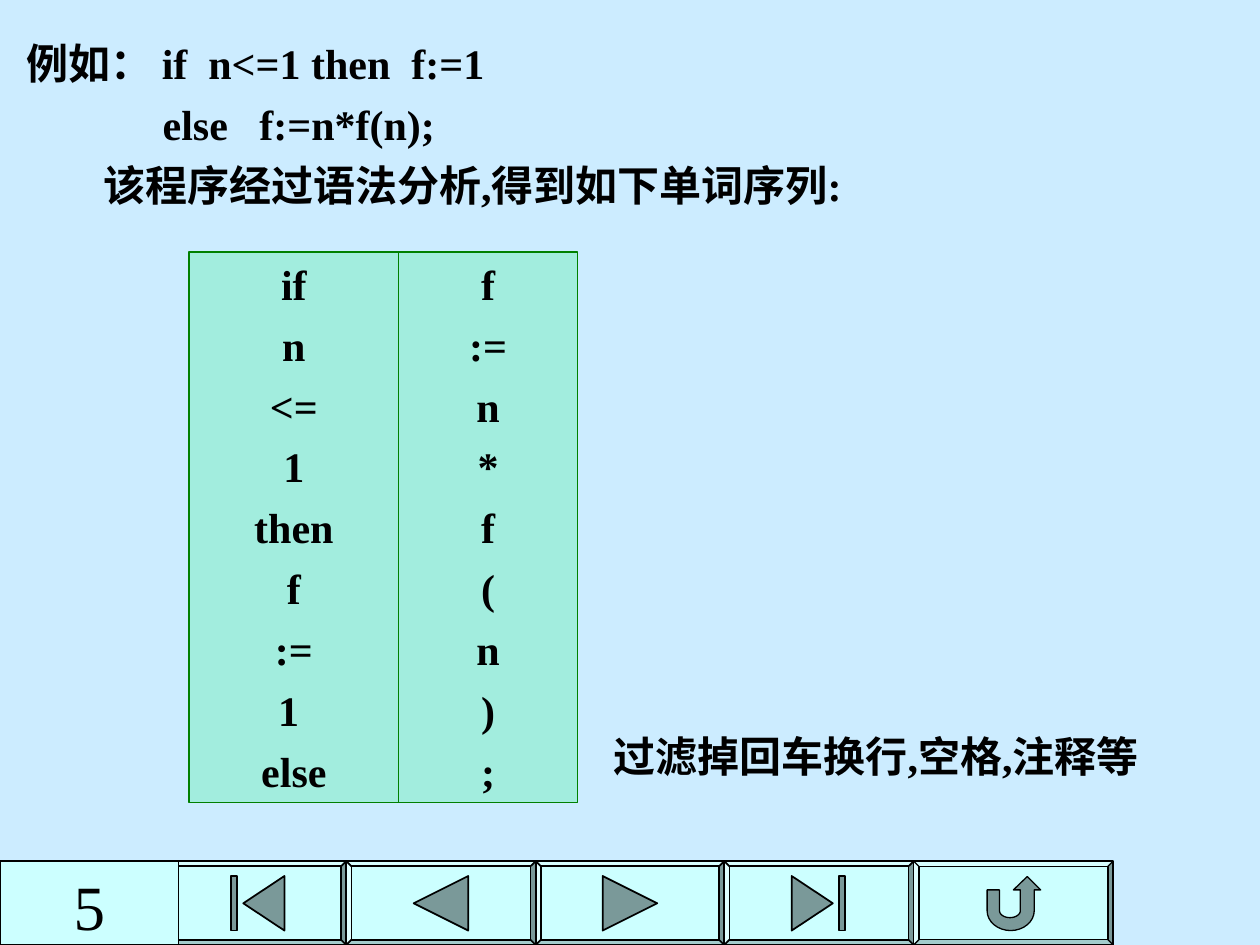
from math import cos, pi, sin

from lxml import etree
from pptx import Presentation
from pptx.dml.color import RGBColor
from pptx.enum.shapes import MSO_SHAPE
from pptx.enum.text import MSO_ANCHOR, PP_ALIGN
from pptx.oxml.ns import qn
from pptx.util import Cm, Pt

RECT, BEVEL = MSO_SHAPE.RECTANGLE, MSO_SHAPE.BEVEL
LEFT, CENTER, TOP = PP_ALIGN.LEFT, PP_ALIGN.CENTER, MSO_ANCHOR.TOP
BOLD_24 = {"name": "Times New Roman", "size": Pt(24), "bold": True}
PAGE_36 = {"name": "Times New Roman", "size": Pt(36), "bold": False}


def paint(sp, fill, line, width):
    sp.shadow.inherit = False
    sp.fill.solid()
    sp.fill.fore_color.rgb = RGBColor.from_string(fill)
    sp.line.color.rgb = RGBColor.from_string(line)
    sp.line.width = Pt(width)


def write(sp, lines, fmt, align, indents=None):
    tf = sp.text_frame
    tf.word_wrap = True
    tf.vertical_anchor = TOP
    for i, text in enumerate(lines):
        p = tf.paragraphs[0] if i == 0 else tf.add_paragraph()
        p.alignment = align
        p.space_before = Pt(6 if i else 0)
        if indents:
            pPr = p._p.get_or_add_pPr()
            pPr.set("marL", str(Cm(indents[i])))
            pPr.set("indent", "0")
        r = p.add_run()
        r.text = text
        for key, value in fmt.items():
            setattr(r.font, key, value)
        r.font.color.rgb = RGBColor.from_string("000000")


prs = Presentation()
prs.slide_width, prs.slide_height = Cm(25.4), Cm(19.05)
s = prs.slides.add_slide(prs.slide_layouts[6])
s.background.fill.solid()
s.background.fill.fore_color.rgb = RGBColor.from_string("CCECFF")

bar_top, bar_height, icon_y = 17.36, 1.69, 18.21
back = [(-0.55, 0), (0.55, -0.55), (0.55, 0.55)]
first = [(-0.28, 0), (0.55, -0.55), (0.55, 0.55)]
first_bar = [(-0.53, -0.55), (-0.4, -0.55), (-0.4, 0.55), (-0.53, 0.55)]
arcs = [pi * i / 16 for i in range(17)]
inner = [(-0.07 - 0.21 * cos(a), 0.15 + 0.14 * sin(a)) for a in arcs]
outer = [(-0.055 + 0.475 * cos(a), 0.15 + 0.4 * sin(a)) for a in arcs]
head = [(0.14, -0.27), (0, -0.27), (0.28, -0.54), (0.55, -0.27), (0.42, -0.27)]
u_turn = [(-0.53, -0.27), (-0.28, -0.27)] + inner + head + outer

buttons = [
    (3.39, 6.98, [first, first_bar], 1, 1),
    (6.98, 10.8, [back], 1, 1),
    (10.8, 14.6, [back], -1, 1),
    (14.6, 18.42, [first, first_bar], -1, 1),
    (18.42, 22.44, [u_turn], 1, 0.75),
]
for left, right, icons, side, width in buttons:
    sp = s.shapes.add_shape(BEVEL, Cm(left), Cm(bar_top), Cm(right - left), Cm(bar_height))
    sp.adjustments[0] = 0.0625
    paint(sp, "CCFFFF", "000000", width)
    mid = (left + right) / 2
    for icon in icons:
        points = [(Cm(mid + side * x), Cm(icon_y + y)) for x, y in icon]
        fb = s.shapes.build_freeform(*points[0])
        fb.add_line_segments(points[1:], close=True)
        paint(fb.convert_to_shape(), "7A9999", "000000", width)

code = ["例如： if  n<=1 then  f:=1", "else   f:=n*f(n);", "该程序经过语法分析,得到如下单词序列:"]
sp = s.shapes.add_textbox(Cm(0.28), Cm(0.64), Cm(20.09), Cm(3.73))
write(sp, code, BOLD_24, LEFT, [0, 2.75, 1.55])

columns = [
    (3.81, 4.23, ["if", "n", "<=", "1", "then", "f", ":=", "1 ", "else"]),
    (8.04, 3.6, ["f", ":=", "n", "*", "f", "(", "n", ")", ";"]),
]
tokens = s.shapes.add_group_shape()
for left, width, words in columns:
    sp = tokens.shapes.add_shape(RECT, Cm(left), Cm(5.08), Cm(width), Cm(11.1))
    paint(sp, "79EFBF", "008000", 0.75)
    color = sp._element.spPr.find(qn("a:solidFill"))[0]
    etree.SubElement(color, qn("a:alpha")).set("val", "50000")
    write(sp, words, BOLD_24, CENTER)

sp = s.shapes.add_textbox(Cm(11.7), Cm(14.6), Cm(11.93), Cm(1.27))
write(sp, ["过滤掉回车换行,空格,注释等"], BOLD_24, CENTER)

sp = s.shapes.add_shape(RECT, 0, Cm(bar_top), Cm(3.6), Cm(bar_height))
paint(sp, "CCFFFF", "000000", 1)
write(sp, ["5"], PAGE_36, CENTER)

prs.save("out.pptx")
